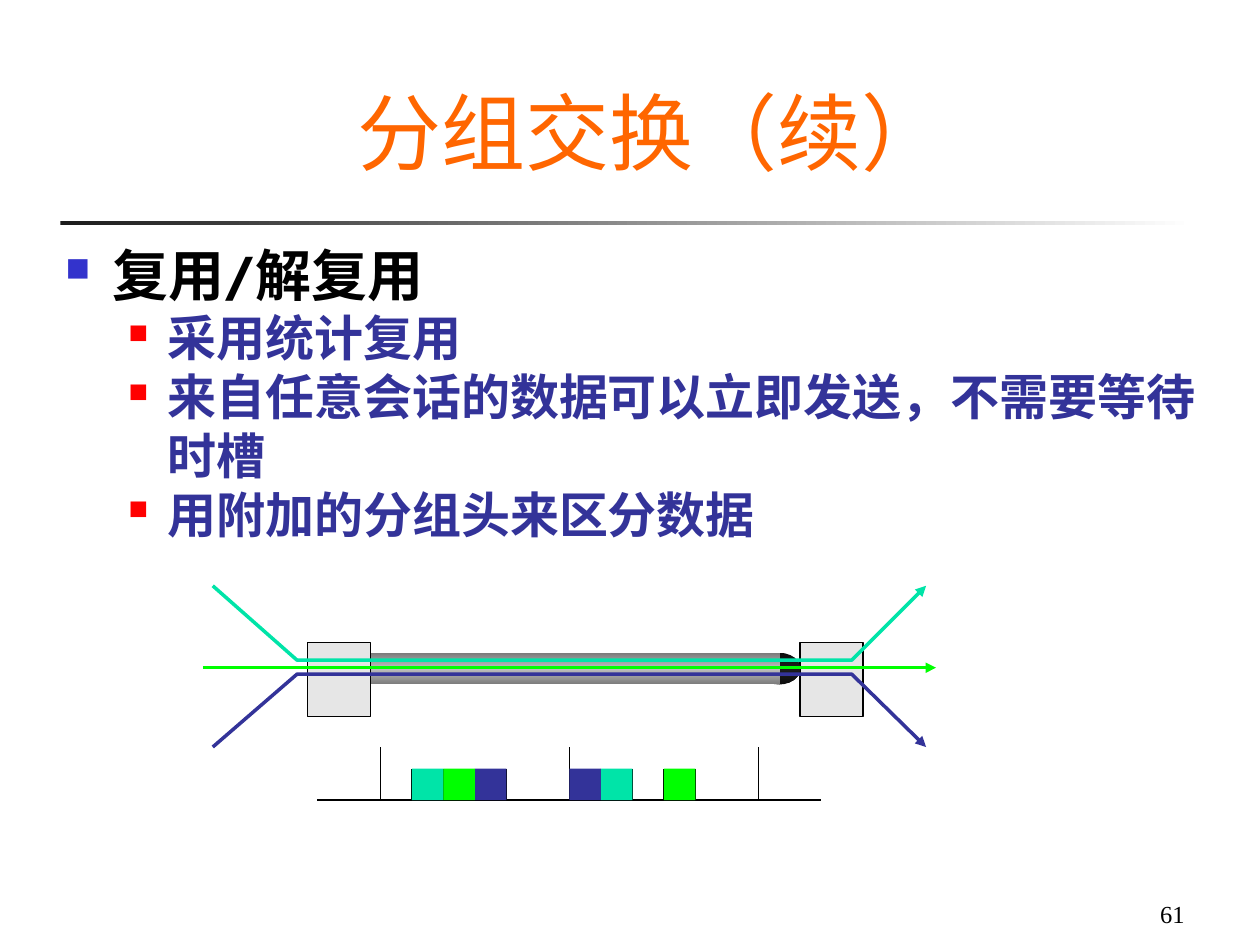
"""Build the packet switching slide on statistical multiplexing."""
from dataclasses import dataclass

from lxml.etree import SubElement
from pptx import Presentation
from pptx.dml.color import RGBColor
from pptx.enum.shapes import MSO_CONNECTOR, MSO_SHAPE
from pptx.enum.text import MSO_ANCHOR, MSO_AUTO_SIZE, PP_ALIGN
from pptx.oxml.ns import qn
from pptx.util import Cm, Pt

COLORS = {
    "title": "FF6600", "black": "000000", "navy": "333399", "bullet": "3333CC",
    "red": "FF0000", "teal": "00E4A8", "green": "00FF00", "box": "E6E6E6",
    "dark": "1C1C1C", "darkest": "0D0D0D", "gray": "7A7A7A", "silver": "C0C0C0",
    "white": "FFFFFF",
}
AXIS_Y = 16.13
FIRST_MARK = 7.67
SLOT = 7.62 / 12
TUBE_TOP, TUBE_HEIGHT = 13.16, 0.64


@dataclass(frozen=True)
class BulletStyle:
    size: int
    color: str
    bullet_color: str
    bullet_percent: int
    margin: float
    hanging: float


@dataclass(frozen=True)
class Block:
    kind: MSO_SHAPE
    left: float
    top: float
    width: float
    height: float
    fill: tuple[str, ...]
    outlined: bool = False


HEADING = BulletStyle(32, "black", "bullet", 60, 0.95, 0.95)
DETAIL = BulletStyle(28, "navy", "red", 55, 2.06, 0.79)
OUTLINE = [
    ("复用/解复用", HEADING),
    ("采用统计复用", DETAIL),
    ("来自任意会话的数据可以立即发送，不需要等待时槽", DETAIL),
    ("用附加的分组头来区分数据", DETAIL),
]
PACKETS = [(1, "teal"), (7, "teal"), (3, "navy"), (6, "navy"), (2, "green"), (9, "green")]
LINK_PARTS = [
    Block(MSO_SHAPE.RECTANGLE, 16.13, 12.95, 1.27, 1.5, ("box",), True),
    Block(MSO_SHAPE.OVAL, 15.29, TUBE_TOP, 0.84, TUBE_HEIGHT, ("darkest", "dark", "darkest")),
    Block(MSO_SHAPE.RECTANGLE, 7.04, TUBE_TOP, 8.69, TUBE_HEIGHT, ("gray", "silver", "gray")),
    Block(MSO_SHAPE.OVAL, 6.6, TUBE_TOP, 0.84, TUBE_HEIGHT, ("silver",)),
    Block(MSO_SHAPE.RECTANGLE, 6.2, 12.95, 1.27, 1.5, ("box",), True),
]


def rgb(name: str) -> RGBColor:
    return RGBColor.from_string(COLORS[name])


def format_run(run, font_name: str, size: int, color: str, bold: bool = False) -> None:
    run.font.name = font_name
    run.font.size = Pt(size)
    run.font.bold = bold
    run.font.color.rgb = rgb(color)
    latin = run.font._element.find(qn("a:latin"))
    east_asian = latin.makeelement(qn("a:ea"), {"typeface": font_name})
    latin.addnext(east_asian)


def place(shape, left: float, top: float, width: float, height: float) -> None:
    shape.left, shape.top = Cm(left), Cm(top)
    shape.width, shape.height = Cm(width), Cm(height)


def add_block(slide, block: Block, angle: int = 90) -> None:
    bounds = [Cm(value) for value in (block.left, block.top, block.width, block.height)]
    shape = slide.shapes.add_shape(block.kind, *bounds)
    shape.shadow.inherit = False
    if len(block.fill) == 1:
        shape.fill.solid()
        shape.fill.fore_color.rgb = rgb(block.fill[0])
    else:
        shape.fill.gradient()
        shape.fill.gradient_angle = angle
        stops = shape._element.spPr.find(qn("a:gradFill")).find(qn("a:gsLst"))
        for stop in list(stops):
            stops.remove(stop)
        for index, name in enumerate(block.fill):
            position = 100000 * index // (len(block.fill) - 1)
            stop = SubElement(stops, qn("a:gs"), pos=str(position))
            SubElement(stop, qn("a:srgbClr"), val=COLORS[name])
    if block.outlined:
        shape.line.color.rgb = rgb("black")
        shape.line.width = Pt(0.75)
    else:
        shape.line.fill.background()


def style_line(shape, color: str, width: float, arrow: bool) -> None:
    shape.line.color.rgb = rgb(color)
    shape.line.width = Pt(width)
    if arrow:
        SubElement(shape._element.spPr.find(qn("a:ln")), qn("a:tailEnd"), type="triangle")


def add_line(slide, start: tuple[float, float], end: tuple[float, float],
             color: str = "black", width: float = 1, arrow: bool = False) -> None:
    points = [Cm(value) for value in (*start, *end)]
    connector = slide.shapes.add_connector(MSO_CONNECTOR.STRAIGHT, *points)
    style_line(connector, color, width, arrow)
    SubElement(connector._element.spPr, qn("a:effectLst"))


def add_flow(slide, outer_y: float, inner_y: float, color: str) -> None:
    points = [(4.29, outer_y), (5.99, inner_y), (17.17, inner_y), (18.67, outer_y)]
    start, *rest = [(Cm(x), Cm(y)) for x, y in points]
    builder = slide.shapes.build_freeform(*start)
    builder.add_line_segments(rest, close=False)
    shape = builder.convert_to_shape()
    shape.shadow.inherit = False
    shape.fill.background()
    style_line(shape, color, 2, True)


def add_bullet(paragraph, style: BulletStyle) -> None:
    properties = paragraph._p.get_or_add_pPr()
    properties.set("marL", str(Cm(style.margin)))
    properties.set("indent", str(-Cm(style.hanging)))
    bullet_color = SubElement(properties, qn("a:buClr"))
    SubElement(bullet_color, qn("a:srgbClr"), val=COLORS[style.bullet_color])
    SubElement(properties, qn("a:buSzPct"), val=str(style.bullet_percent * 1000))
    SubElement(properties, qn("a:buChar"), char="■")


def add_title(slide) -> None:
    title = slide.shapes.title
    place(title, 2.34, 1.27, 21.59, 2.51)
    frame = title.text_frame
    frame.text = "分组交换（续）"
    frame.auto_size = MSO_AUTO_SIZE.NONE
    frame.vertical_anchor = MSO_ANCHOR.BOTTOM
    paragraph = frame.paragraphs[0]
    paragraph.alignment = PP_ALIGN.CENTER
    format_run(paragraph.runs[0], "Cabin", 48, "title")


def add_outline(slide) -> None:
    frame = slide.shapes.add_textbox(Cm(1.07), Cm(4.72), Cm(23.5), Cm(12.12)).text_frame
    frame.word_wrap = True
    frame.text = "\n".join(text for text, _ in OUTLINE)
    for paragraph, (_, style) in zip(frame.paragraphs, OUTLINE):
        paragraph.level = 0 if style is HEADING else 1
        add_bullet(paragraph, style)
        format_run(paragraph.runs[0], "Cabin", style.size, style.color, True)


def add_page_number(slide) -> None:
    frame = slide.shapes.add_textbox(Cm(18.85), Cm(17.58), Cm(5.28), Cm(1.27)).text_frame
    frame.word_wrap = True
    frame.vertical_anchor = MSO_ANCHOR.BOTTOM
    frame.text = "61"
    paragraph = frame.paragraphs[0]
    paragraph.alignment = PP_ALIGN.RIGHT
    format_run(paragraph.runs[0], "Times New Roman", 14, "black")


def add_timeline(slide) -> None:
    add_line(slide, (6.4, AXIS_Y), (16.56, AXIS_Y))
    for slot in (0, 1, 2, 3, 4, 6, 7, 8, 9, 10, 12):
        x = FIRST_MARK + slot * SLOT
        height = 1.07 if slot % 6 == 0 else SLOT
        add_line(slide, (x, AXIS_Y), (x, AXIS_Y - height))
    for slot, color in PACKETS:
        left = FIRST_MARK + slot * SLOT
        add_block(slide, Block(MSO_SHAPE.RECTANGLE, left, AXIS_Y - SLOT, SLOT, SLOT, (color,)))


def main() -> None:
    presentation = Presentation()
    presentation.slide_width, presentation.slide_height = Cm(25.4), Cm(19.05)
    slide = presentation.slides.add_slide(presentation.slide_layouts[5])
    rule = Block(MSO_SHAPE.RECTANGLE, 1.22, 4.45, 22.86, 0.09, ("dark", "white"))
    add_block(slide, rule, angle=0)
    add_title(slide)
    add_outline(slide)
    add_page_number(slide)
    add_timeline(slide)
    for part in LINK_PARTS:
        add_block(slide, part)
    add_flow(slide, 11.81, 13.31, "teal")
    add_line(slide, (4.09, 13.46), (18.87, 13.46), "green", 2, True)
    add_flow(slide, 15.06, 13.59, "navy")
    presentation.save("out.pptx")


if __name__ == "__main__":
    main()
